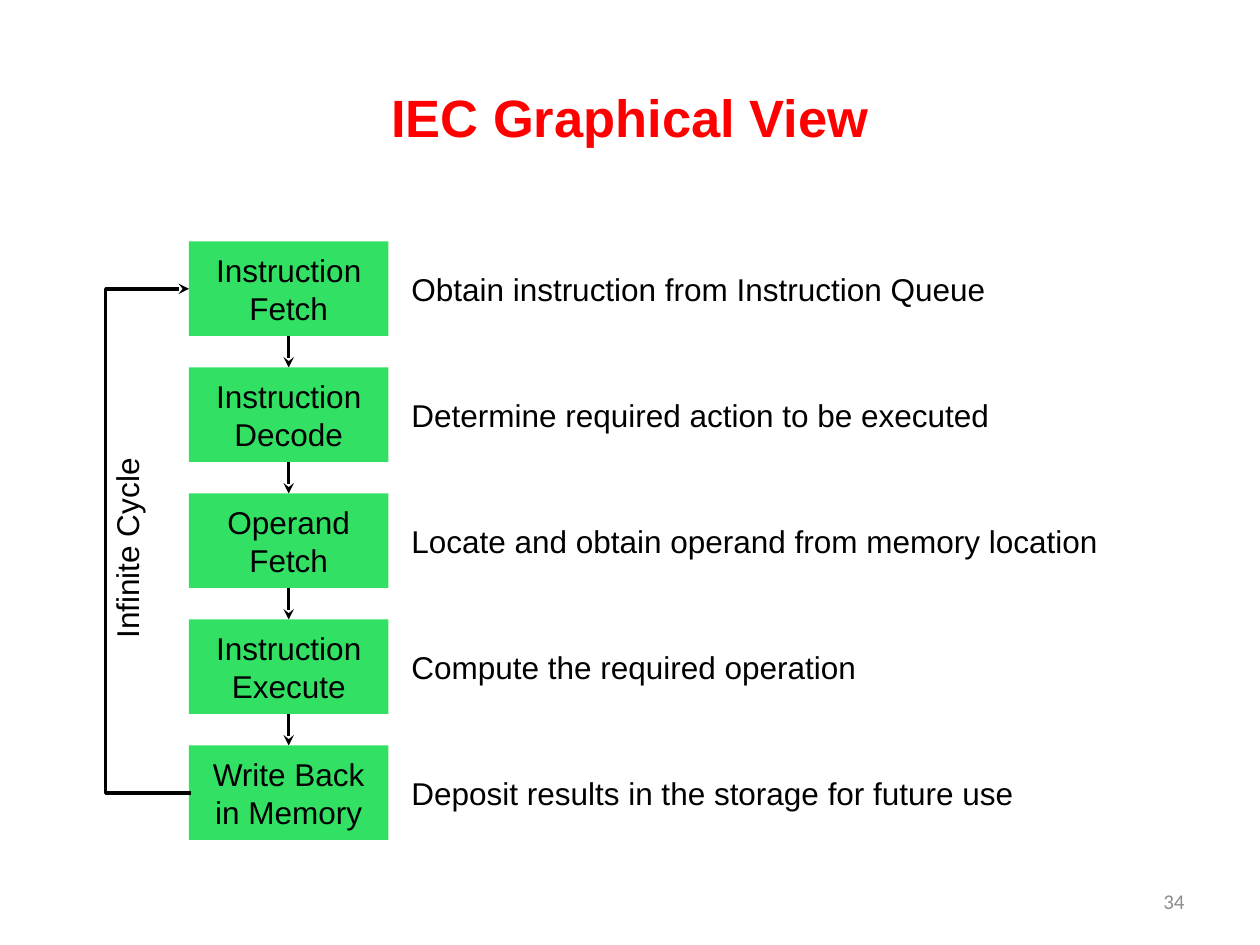
from lxml import etree
from pptx import Presentation
from pptx.dml.color import RGBColor
from pptx.enum.shapes import MSO_CONNECTOR, MSO_SHAPE
from pptx.enum.text import MSO_ANCHOR, MSO_AUTO_SIZE, PP_ALIGN
from pptx.oxml.ns import qn
from pptx.util import Pt


def write(shape, text, size=18, color="000000", align=PP_ALIGN.LEFT,
          anchor=MSO_ANCHOR.TOP, font="Arial", bold=False, wrap=True):
    frame = shape.text_frame
    frame.word_wrap = wrap
    frame.auto_size = MSO_AUTO_SIZE.NONE if wrap else MSO_AUTO_SIZE.SHAPE_TO_FIT_TEXT
    frame.vertical_anchor = anchor
    paragraph = frame.paragraphs[0]
    paragraph.alignment = align
    run = paragraph.add_run()
    run.text = text
    run.font.size, run.font.name, run.font.bold = Pt(size), font, bold
    run.font.color.rgb = RGBColor.from_string(color)


def arrow(kind, x1, y1, x2, y2):
    line = slide.shapes.add_connector(kind, Pt(x1), Pt(y1), Pt(x2), Pt(y2))
    line.line.width = Pt(2)
    line.line.color.rgb = RGBColor.from_string("000000")
    etree.SubElement(line.line._get_or_add_ln(), qn("a:tailEnd"), type="stealth")
    etree.SubElement(line._element.spPr, qn("a:effectLst"))
    return line


prs = Presentation()
prs.slide_width, prs.slide_height = Pt(720), Pt(540)
slide = prs.slides.add_slide(prs.slide_layouts[5])

# Title and page number
title = slide.shapes.title
title.left, title.top, title.width, title.height = Pt(36), Pt(21.6), Pt(648), Pt(90)
write(title, "IEC Graphical View", 30, "FF0000", PP_ALIGN.CENTER,
      MSO_ANCHOR.MIDDLE, bold=True)
page = slide.shapes.add_textbox(Pt(516), Pt(500.5), Pt(168), Pt(28.75))
write(page, "34", 12, "8C8C8C", PP_ALIGN.RIGHT, MSO_ANCHOR.MIDDLE, "Calibri")

# Stages, each with its description and an arrow to the next
stages = [
    ("Instruction Fetch", "Obtain instruction from Instruction Queue", 346),
    ("Instruction Decode", "Determine required action to be executed", 348),
    ("Operand Fetch", "Locate and obtain operand from memory location", 410),
    ("Instruction Execute", "Compute the required operation", 271),
    ("Write Back in Memory", "Deposit results in the storage for future use", 362),
]
left, top, width, height, pitch = 108, 138, 114, 54, 72
for i, (name, description, text_width) in enumerate(stages):
    y = top + i * pitch
    box = slide.shapes.add_shape(MSO_SHAPE.RECTANGLE, Pt(left), Pt(y), Pt(width), Pt(height))
    box.shadow.inherit = False
    box.fill.solid()
    box.fill.fore_color.rgb = RGBColor.from_string("32E164")
    box.line.fill.background()
    write(box, name, align=PP_ALIGN.CENTER, anchor=MSO_ANCHOR.MIDDLE)

    note = slide.shapes.add_textbox(Pt(228), Pt(y + 12.7), Pt(text_width), Pt(29))
    write(note, description, wrap=False)

    if i < len(stages) - 1:
        center = left + width / 2
        arrow(MSO_CONNECTOR.STRAIGHT, center, y + height, center, y + pitch)

# Return path from the last stage to the first, 48 pt left of the boxes
first = top + height / 2
last = first + (len(stages) - 1) * pitch
loop = arrow(MSO_CONNECTOR.ELBOW, left, first, left + 1, last)
loop._element.spPr.find(qn("a:xfrm")).set("rot", "10800000")
guides = loop._element.spPr.find(qn("a:prstGeom")).get_or_add_avLst()
etree.SubElement(guides, qn("a:gd"), name="adj1", fmla="val 4900000")

cycle = slide.shapes.add_textbox(Pt(13), Pt(298), Pt(119), Pt(29))
cycle.rotation = 270
write(cycle, "Infinite Cycle", wrap=False)

prs.save("out.pptx")
